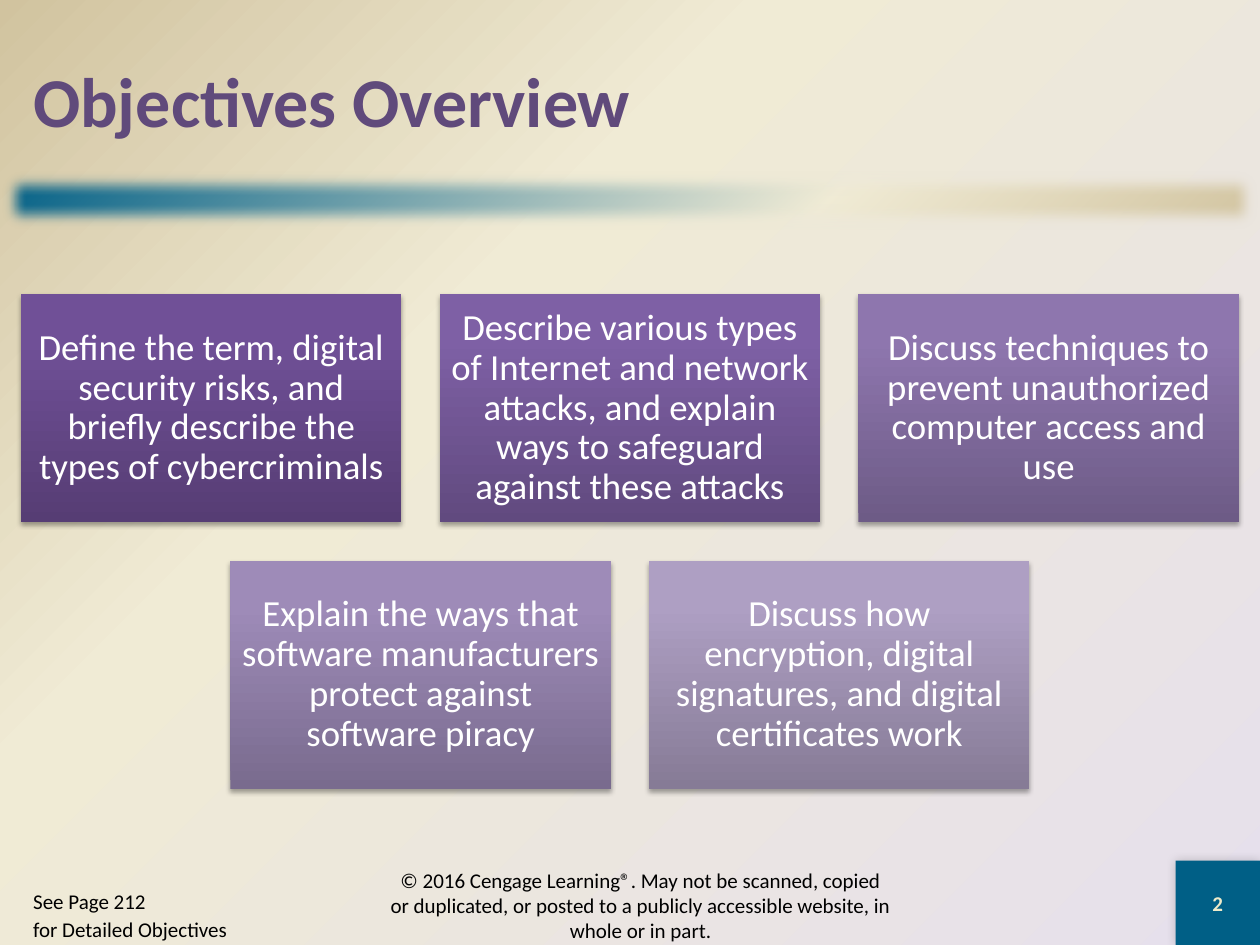
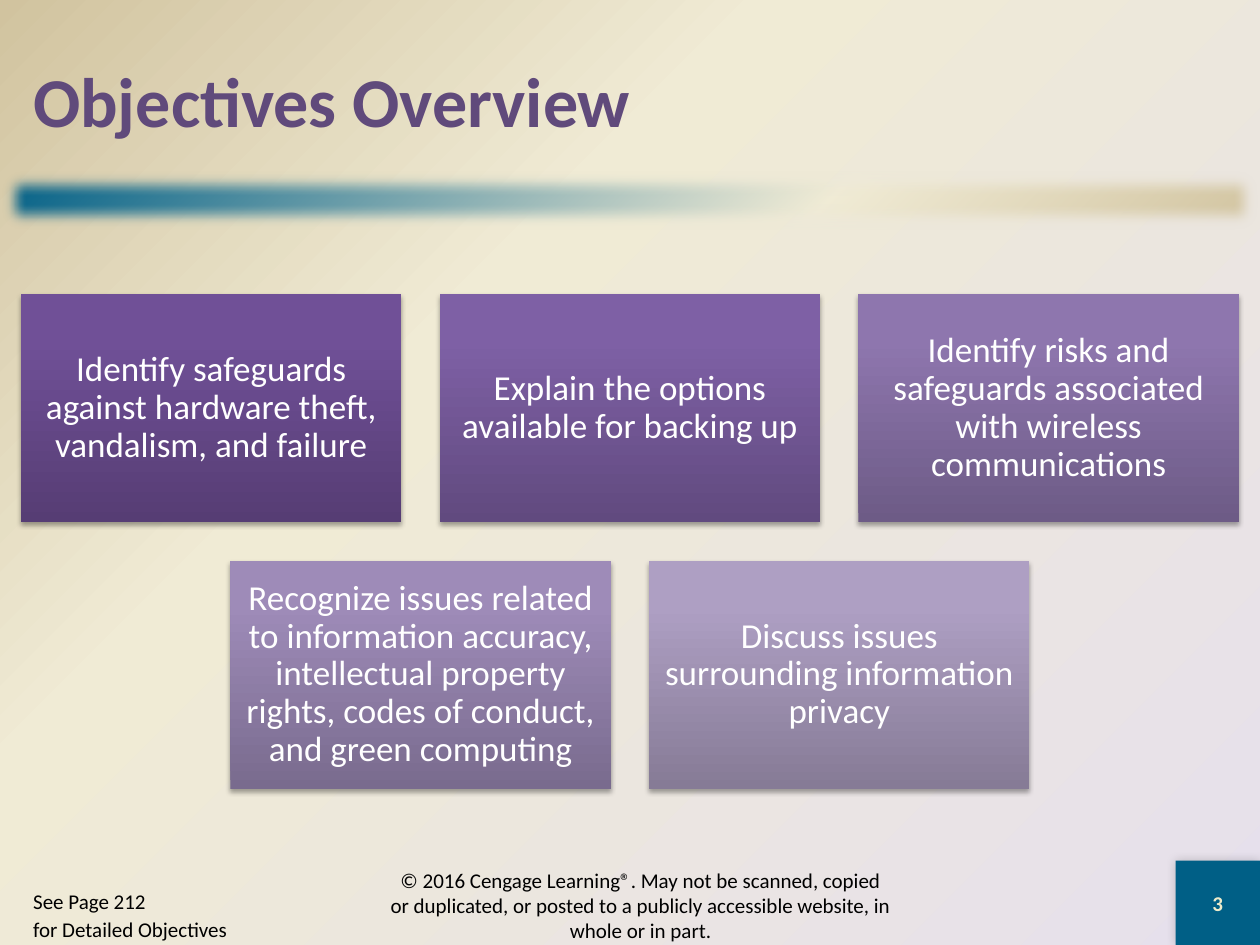
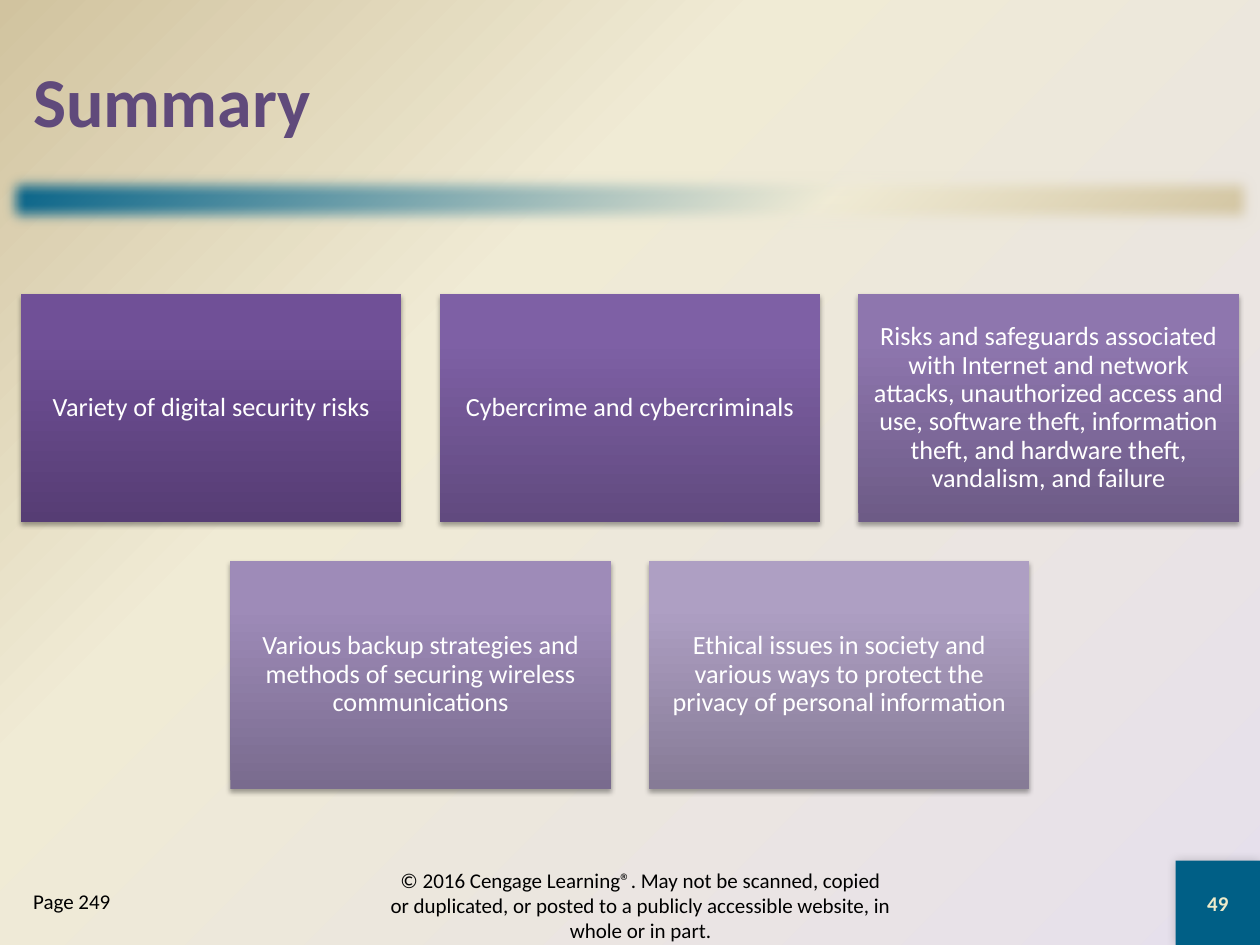
from lxml.etree import Element, SubElement
from pptx import Presentation
from pptx.dml.color import RGBColor
from pptx.enum.shapes import MSO_SHAPE
from pptx.enum.text import MSO_ANCHOR, PP_ALIGN
from pptx.oxml.ns import qn
from pptx.util import Cm, Pt

TEAL = RGBColor(0x00, 0x5F, 0x86)
CREAM = RGBColor(0xF0, 0xEB, 0xD5)
SAND = RGBColor(0xD1, 0xC3, 0x9F)
LAVENDER = RGBColor(0xE6, 0xE0, 0xEC)
PURPLE = RGBColor(0x60, 0x4A, 0x7B)
IVORY = RGBColor(0xEE, 0xEB, 0xCA)
WHITE = RGBColor(0xFF, 0xFF, 0xFF)
BLACK = RGBColor(0x00, 0x00, 0x00)
CARD_SHADES = [
    (RGBColor(0x56, 0x3D, 0x74), RGBColor(0x70, 0x50, 0x97), RGBColor(0x70, 0x4F, 0x99)),
    (RGBColor(0x61, 0x4A, 0x7F), RGBColor(0x7E, 0x60, 0xA5), RGBColor(0x7F, 0x60, 0xA7)),
    (RGBColor(0x6D, 0x5B, 0x86), RGBColor(0x8E, 0x76, 0xAE), RGBColor(0x8E, 0x75, 0xB0)),
    (RGBColor(0x79, 0x6B, 0x8E), RGBColor(0x9E, 0x8B, 0xB8), RGBColor(0x9E, 0x8B, 0xBA)),
    (RGBColor(0x86, 0x7B, 0x96), RGBColor(0xAE, 0x9F, 0xC3), RGBColor(0xAE, 0x9F, 0xC4)),
]

FONT = "Calibri"
PAGE_WIDTH, PAGE_HEIGHT = 25.4, 19.05
MARGIN = 0.42
CORNER = 1.7
CARD_WIDTH, CARD_HEIGHT, CARD_GAP = 7.67, 4.6, 0.77
CARDS_TOP = 5.93
CARDS_PER_ROW = 3

COPYRIGHT = (
    "© 2016 Cengage Learning®. May not be scanned, copied or duplicated, "
    "or posted to a publicly accessible website, in whole or in part."
)
DETAIL_NOTE = ["See Page 212", "for Detailed Objectives"]

PAGES = [
    ("Objectives Overview", "2", DETAIL_NOTE, 21, [
        "Define the term, digital security risks, and briefly describe the types of cybercriminals",
        "Describe various types of Internet and network attacks, and explain ways to safeguard "
        "against these attacks",
        "Discuss techniques to prevent unauthorized computer access and use",
        "Explain the ways that software manufacturers protect against software piracy",
        "Discuss how encryption, digital signatures, and digital certificates work",
    ]),
    ("Objectives Overview", "3", DETAIL_NOTE, 20, [
        "Identify safeguards against hardware theft, vandalism, and failure",
        "Explain the options available for backing up",
        "Identify risks and safeguards associated with wireless communications",
        "Recognize issues related to information accuracy, intellectual property rights, "
        "codes of conduct, and green computing",
        "Discuss issues surrounding information privacy",
    ]),
    ("Summary", "49", ["Page 249"], 15, [
        "Variety of digital security risks",
        "Cybercrime and cybercriminals",
        "Risks and safeguards associated with Internet and network attacks, unauthorized access "
        "and use, software theft, information theft, and hardware theft, vandalism, and failure",
        "Various backup strategies and methods of securing wireless communications",
        "Ethical issues in society and various ways to protect the privacy of personal information",
    ]),
]


class DeckBuilder:
    """Holds the deck style and the current page, and draws each kind of element."""

    def __init__(self):
        self.deck = Presentation()
        self.deck.slide_width = Cm(PAGE_WIDTH)
        self.deck.slide_height = Cm(PAGE_HEIGHT)
        self.page = None
        master = self.deck.slide_master
        master.background.fill.background()
        gradient = self.gradient(master.element.find(".//" + qn("p:bgPr")),
                                 (LAVENDER, CREAM, SAND), 65)
        route = SubElement(gradient, qn("a:path"), {"path": "circle"})
        SubElement(route, qn("a:fillToRect"), {"l": "100000", "t": "100000"})

    def gradient(self, owner, colors, middle):
        """Replace the empty fill of an element with three gradient stops."""
        gradient = Element(qn("a:gradFill"), {"rotWithShape": "1"})
        stops = SubElement(gradient, qn("a:gsLst"))
        for position, color in zip((0, middle, 100), colors):
            stop = SubElement(stops, qn("a:gs"), {"pos": str(position * 1000)})
            SubElement(stop, qn("a:srgbClr"), {"val": str(color)})
        owner.replace(owner.find(qn("a:noFill")), gradient)
        return gradient

    def rectangle(self, left, top, width, height):
        """Add a plain rectangle without fill, line or shadow."""
        shape = self.page.shapes.add_shape(
            MSO_SHAPE.RECTANGLE, Cm(left), Cm(top), Cm(width), Cm(height))
        shape.shadow.inherit = False
        shape.fill.background()
        shape.line.fill.background()
        return shape

    def linear_rectangle(self, place, colors, middle, angle):
        """Add a rectangle with a linear gradient."""
        shape = self.rectangle(*place)
        gradient = self.gradient(shape.element.spPr, colors, middle)
        SubElement(gradient, qn("a:lin"), {"ang": str(angle * 60000), "scaled": "0"})
        return shape

    def effect(self, shape, kind, **values):
        """Add one effect to a shape."""
        effects = shape.element.spPr.find(qn("a:effectLst"))
        return SubElement(effects, qn(kind), {name: str(value) for name, value in values.items()})

    def shadow(self, shape, opacity, blur, distance, angle):
        """Give a shape a soft black shadow."""
        shadow = self.effect(shape, "a:outerShdw", blurRad=int(Pt(blur)), dist=int(Pt(distance)),
                             dir=angle * 60000, algn="ctr", rotWithShape=0)
        color = SubElement(shadow, qn("a:srgbClr"), {"val": str(BLACK)})
        SubElement(color, qn("a:alpha"), {"val": str(opacity * 1000)})

    def fill_text(self, shape, lines, size, color, bold=False, anchor=MSO_ANCHOR.MIDDLE, **layout):
        """Put paragraphs into a shape."""
        frame = shape.text_frame
        frame.word_wrap = True
        frame.vertical_anchor = anchor
        font_format = {"name": FONT, "size": Pt(size), "bold": bold}
        for number, line in enumerate(lines):
            para = frame.add_paragraph() if number else frame.paragraphs[0]
            for name, value in layout.items():
                setattr(para, name, value)
            if number:
                para.space_before = Pt(2)
            span = para.add_run()
            span.text = line
            for name, value in font_format.items():
                setattr(span.font, name, value)
            span.font.color.rgb = color

    def text(self, place, lines, size, color, **style):
        """Add a text box."""
        box = self.page.shapes.add_textbox(*map(Cm, place))
        self.fill_text(box, lines, size, color, **style)

    def card(self, place, shades, words, size):
        """Add one shaded objective card."""
        card = self.linear_rectangle(place, shades, 80, 270)
        self.shadow(card, 35, 3.1, 1.8, 90)
        for side in ("left", "top", "right", "bottom"):
            setattr(card.text_frame, f"margin_{side}", Cm(size / 100))
        self.fill_text(card, [words], size, WHITE, alignment=PP_ALIGN.CENTER, line_spacing=0.9)

    def cards(self, entries, size):
        """Lay out the cards in centred rows."""
        for index, (words, shades) in enumerate(zip(entries, CARD_SHADES)):
            row, column = divmod(index, CARDS_PER_ROW)
            count = min(CARDS_PER_ROW, len(entries) - row * CARDS_PER_ROW)
            row_width = count * CARD_WIDTH + (count - 1) * CARD_GAP
            left = (PAGE_WIDTH - row_width) / 2 + column * (CARD_WIDTH + CARD_GAP)
            top = CARDS_TOP + row * (CARD_HEIGHT + CARD_GAP)
            self.card((left, top, CARD_WIDTH, CARD_HEIGHT), shades, words, size)

    def title_band(self, title):
        """Add the soft band and the title above it."""
        band = self.linear_rectangle((0, 3.39, PAGE_WIDTH, 1.27), (TEAL, CREAM, SAND), 65, 45)
        self.effect(band, "a:softEdge", rad=112500)
        self.text((MARGIN, MARGIN, 24.56, 3.18), [title], 40, PURPLE, bold=True)

    def footer(self, number, note):
        """Add the number corner, the copyright line and the page note."""
        corner = self.rectangle(PAGE_WIDTH - CORNER, PAGE_HEIGHT - CORNER, CORNER, CORNER)
        corner.fill.solid()
        corner.fill.fore_color.rgb = TEAL
        self.shadow(corner, 20, 6, 0, 225)
        self.fill_text(corner, [number], 12, IVORY, bold=True, alignment=PP_ALIGN.CENTER)
        self.text((7.62, 17.55, 10.59, 1.4), [COPYRIGHT], 12, BLACK, alignment=PP_ALIGN.CENTER)
        self.text((MARGIN, 17.78, 4.65, 1.27), note, 12, BLACK, anchor=MSO_ANCHOR.TOP)

    def add_page(self, title, number, note, size, entries):
        """Add a complete page."""
        self.page = self.deck.slides.add_slide(self.deck.slide_layouts[6])
        self.title_band(title)
        self.cards(entries, size)
        self.footer(number, note)


def main():
    builder = DeckBuilder()
    for content in PAGES:
        builder.add_page(*content)
    builder.deck.save("out.pptx")


if __name__ == "__main__":
    main()
